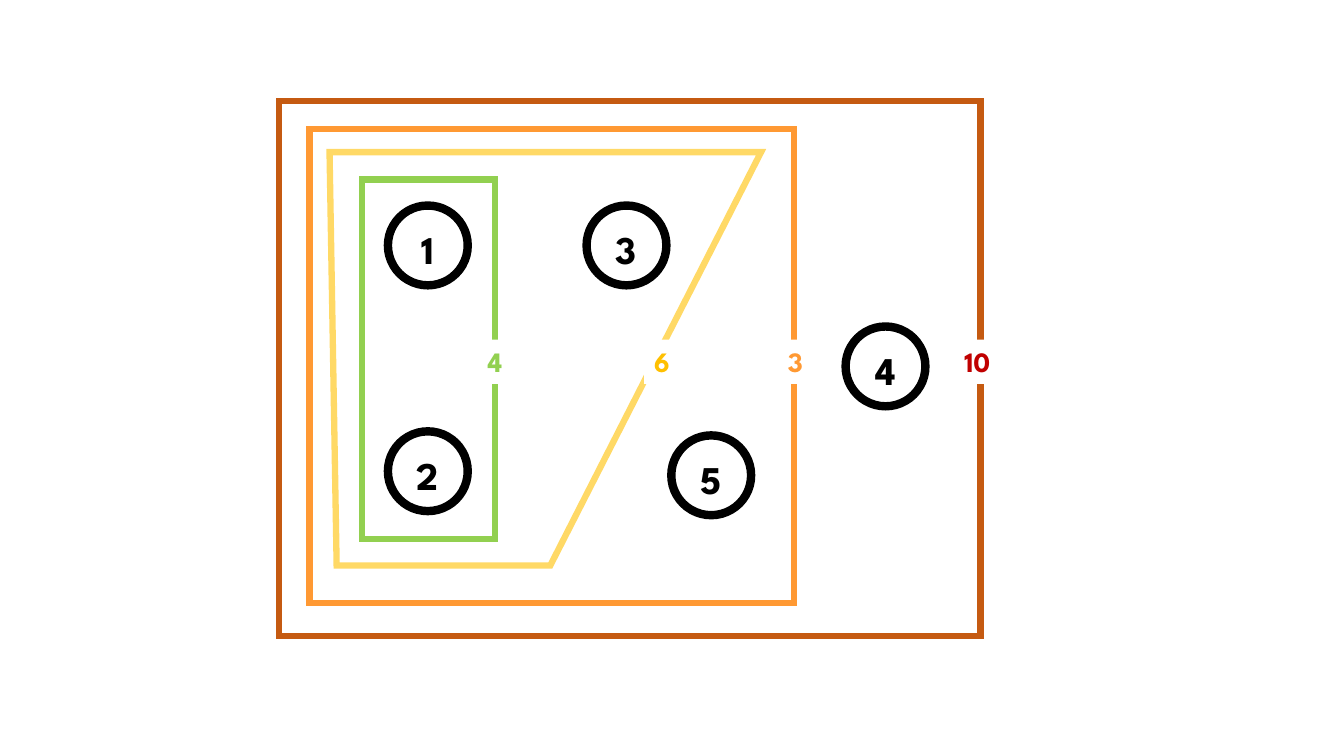
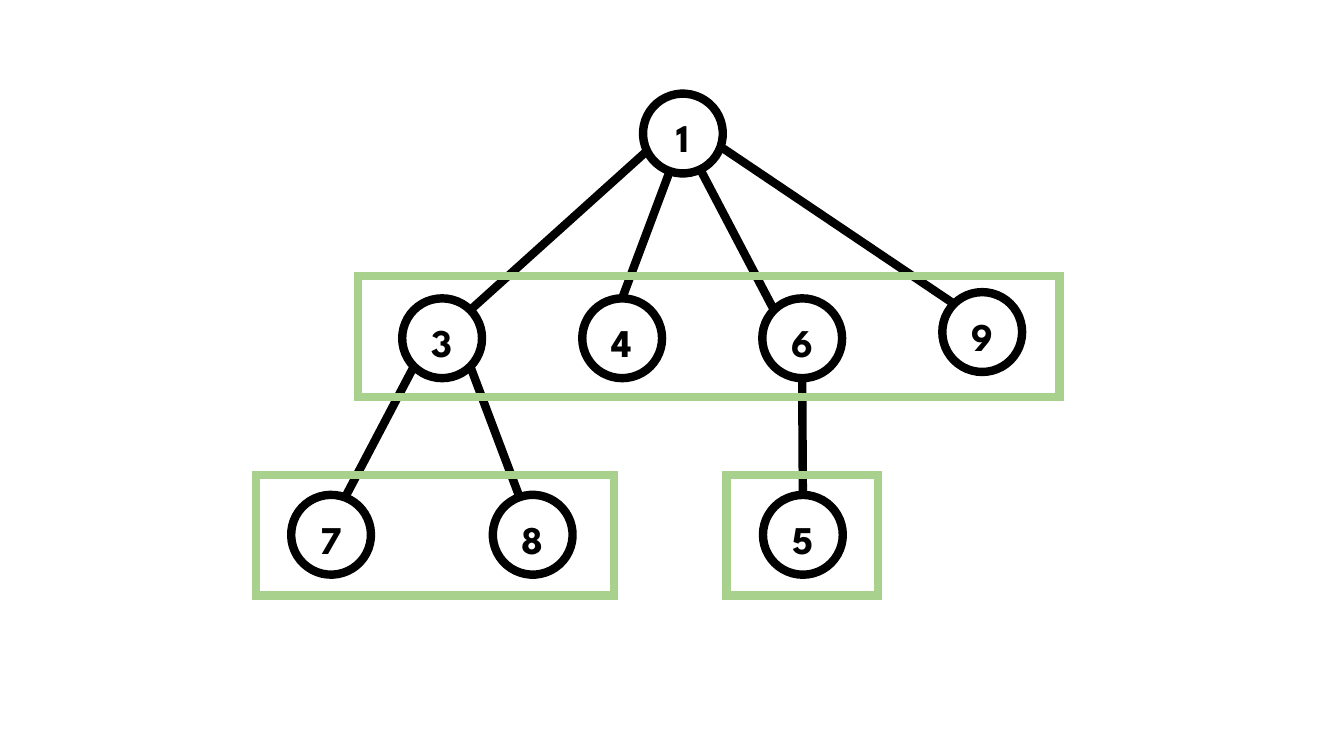
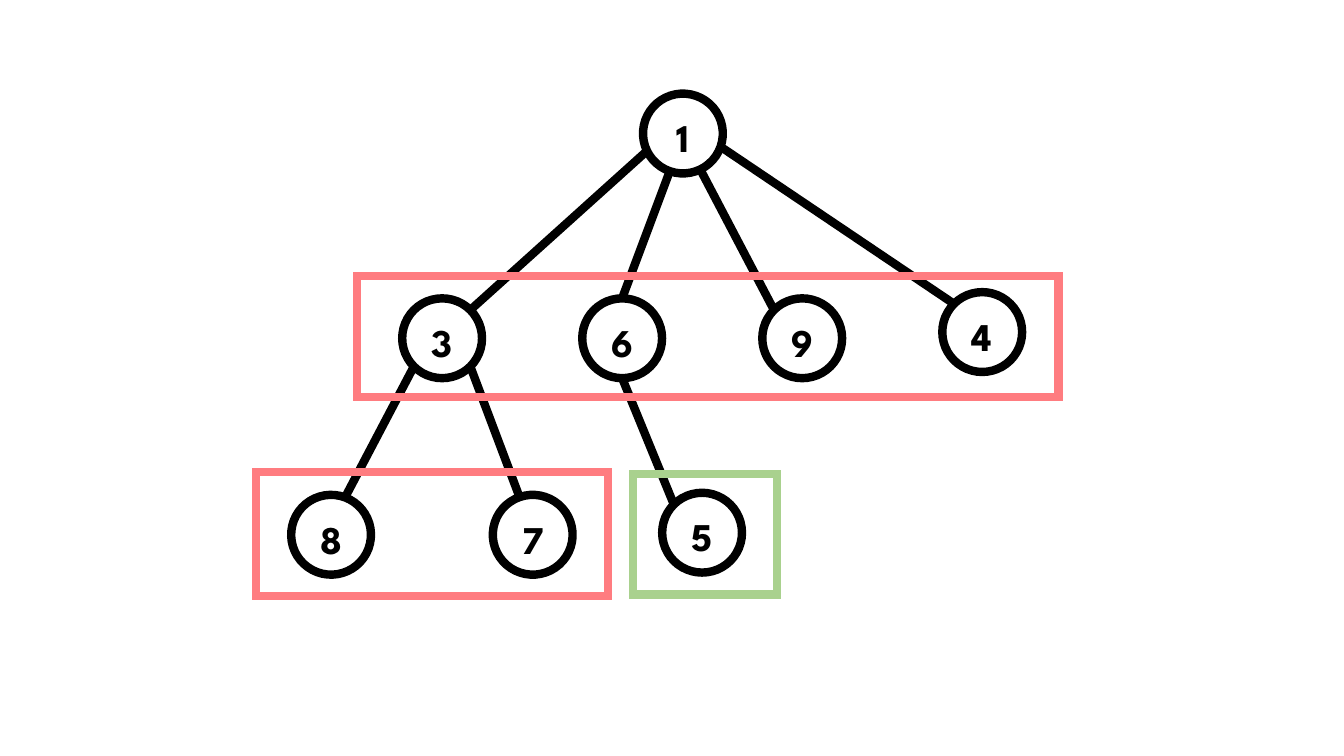
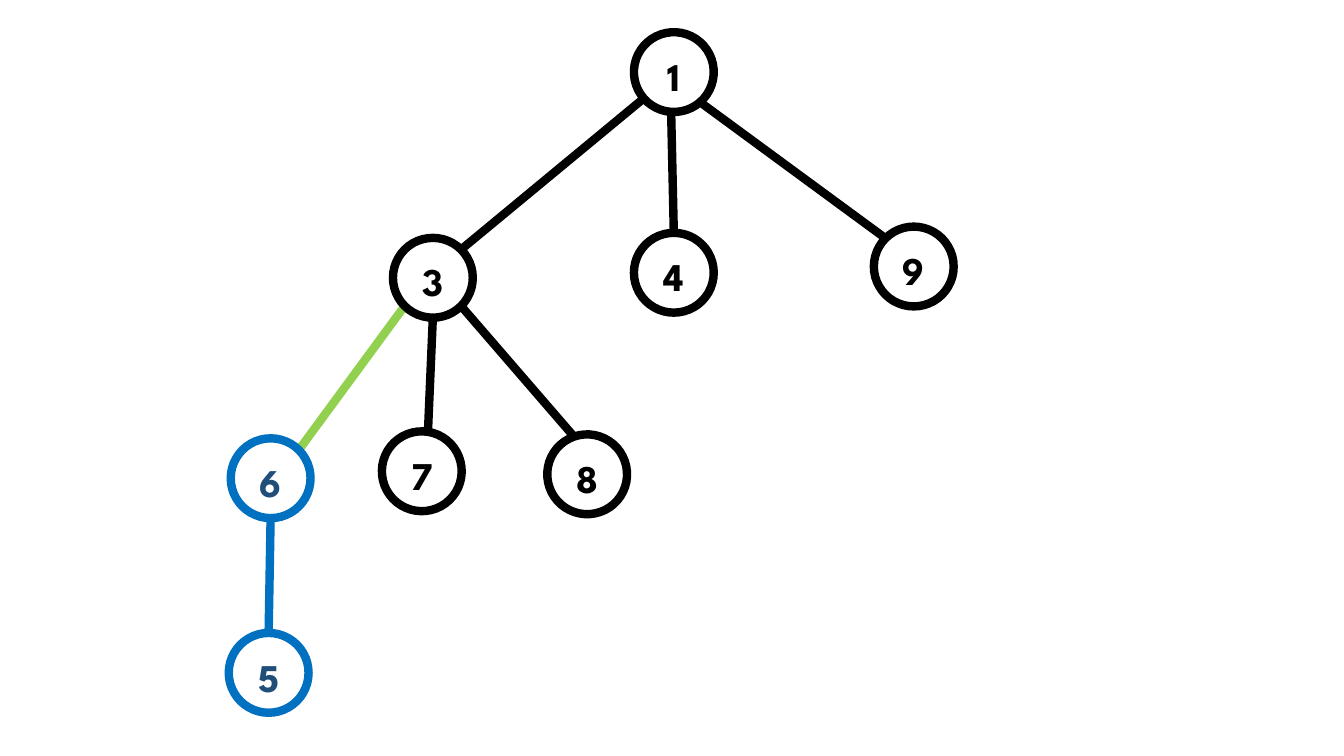
"""Build four slides of nested clusters and trees of numbered nodes."""
from math import cos, radians, sin

from lxml import etree
from pptx import Presentation
from pptx.dml.color import RGBColor
from pptx.enum import shapes, text
from pptx.oxml.ns import qn
from pptx.util import Pt

FONT = "League Spartan"
BLACK, WHITE, BLUE, NAVY = "000000", "FFFFFF", "0070C0", "1F4E79"
LIME, SAGE, ROSE = "92D050", "A9D18E", "FF7C80"
YELLOW, GOLD, ORANGE, BROWN, RED = "FFD966", "FFC000", "FF9933", "C55A11", "C00000"
SIZE, THICK, THIN = 57, 6, 4.5
LEFT, CENTER = text.PP_ALIGN.LEFT, text.PP_ALIGN.CENTER

# Node: centre x, centre y, turn. Edge: node, site, node, site, colour.
# Sites run anticlockwise from the top of the circle, 45 degrees apart.
ROOT = (487.8, 95.4, 19.2)
ROW = [(315.8 + 128.6 * i, y, 0) for i, y in enumerate((241.6, 241.6, 241.6, 237.2))]
LEAVES = [(236.5, 382, 335.5), (380.5, 382, 25.8)]
BRANCHES = [(0, 3, 1, 7), (0, 4, 2, 0), (0, 5, 3, 1), (0, 6, 4, 1),
            (1, 3, 5, 7), (1, 5, 6, 1)]


def tree(names, last, link, frames):
    """Describe a tree that shares its root, row and leaves."""
    spots = [ROOT, *ROW, *LEAVES, last]
    edges = [(names[a], i, names[b], j, BLACK) for a, i, b, j in BRANCHES + [link]]
    return {"nodes": dict(zip(names, spots)), "edges": edges, "frames": frames}


SLIDES = [
    {"nodes": {"1": (305.6, 175.3, 0), "3": (447.5, 175.3, 0), "2": (305.6, 336.6, 0),
               "5": (508, 339.5, 0), "4": (632.5, 261.7, 0)},
     "frames": [(258.5, 128.2, 95, 257, LIME, THIN),
                (221, 92.2, 346.3, 338.4, ORANGE, THIN),
                (199.4, 72, 501.1, 382.3, BROWN, THIN)],
     "outline": [(235.4, 108.7), (543.6, 108.7), (393.1, 403.9), (240.5, 403.9)],
     "tags": [("4", 334.8, 37.4, LIME, CENTER), ("6", 460.1, 23.8, GOLD, LEFT),
              ("3", 555.8, 23.8, ORANGE, LEFT), ("10", 681.8, 56.9, RED, LEFT)]},
    tree("13469785", (573.5, 382, 0), (3, 4, 7, 0),
         [(255.6, 197.3, 501.1, 86.4, SAGE, THICK),
          (182.9, 339.1, 255.6, 86.4, SAGE, THICK),
          (519.1, 339.1, 108, 86.4, SAGE, THICK)]),
    tree("13694875", (501.5, 380.5, 0), (2, 4, 7, 1),
         [(254.9, 197.3, 501.1, 86.4, ROSE, THICK),
          (182.9, 337, 251.3, 88.6, ROSE, THICK),
          (452.2, 338.4, 103, 86.4, SAGE, THICK)]),
    {"nodes": {"3": (309.2, 198.4, 0), "1": (481.3, 51.5, 3.8),
               "7": (301.3, 336.6, 323.9), "6": (193.3, 341.6, 0),
               "4": (481.3, 194.8, 0), "8": (419.4, 338.8, 25.8),
               "5": (191.9, 480.6, 0), "9": (652.7, 190.4, 0)},
     "edges": [("6", 7, "3", 3, LIME), ("3", 7, "1", 3, BLACK), ("4", 0, "1", 4, BLACK),
               ("8", 1, "3", 5, BLACK), ("7", 7, "3", 4, BLACK), ("5", 0, "6", 4, BLUE),
               ("9", 1, "1", 5, BLACK)],
     "blue": "65"},
]


def rgb(code):
    """Turn a hex string into a colour."""
    return RGBColor.from_string(code)


def trace(shape, color, width):
    """Give a shape a plain mitred outline and no fill."""
    shape.shadow.inherit = False
    shape.fill.background()
    shape.line.color.rgb = rgb(color)
    shape.line.width = Pt(width)
    line = shape.element.spPr.find(qn("a:ln"))
    etree.SubElement(line, qn("a:miter")).set("lim", "800000")


def label(home, words, box, size, color, align):
    """Add a bold text box and return it."""
    shape = home.add_textbox(*map(Pt, box))
    frame = shape.text_frame
    frame.word_wrap = True
    frame.auto_size = text.MSO_AUTO_SIZE.SHAPE_TO_FIT_TEXT
    para = frame.paragraphs[0]
    para.alignment = align
    run = para.add_run()
    run.text = words
    font = run.font
    font.name, font.size, font.bold = FONT, Pt(size), True
    font.color.rgb = rgb(color)
    return shape


def node(home, name, spot, line, ink):
    """Add a numbered circle as one group."""
    x, y, turn = spot
    group = home.add_group_shape().shapes
    ring = group.add_shape(shapes.MSO_SHAPE.OVAL, Pt(x - SIZE / 2), Pt(y - SIZE / 2),
                           Pt(SIZE), Pt(SIZE))
    ring.rotation = turn
    trace(ring, line, THICK)
    label(group, name, (x - 18, y - 17.8, 36, 41), 28, ink, CENTER)


def site(spot, index):
    """Find a connection site on a turned circle."""
    x, y, turn = spot
    angle = radians(turn - 45 * index)
    return Pt(x + SIZE / 2 * sin(angle)), Pt(y - SIZE / 2 * cos(angle))


def edge(home, start, end, color):
    """Join two points with a thick line."""
    line = home.add_connector(shapes.MSO_CONNECTOR.STRAIGHT, *start, *end)
    line.line.color.rgb = rgb(color)
    line.line.width = Pt(THICK)
    etree.SubElement(line.element.spPr, qn("a:effectLst"))


def draw(home, data):
    """Draw the edges, nodes, frames and tags of one slide."""
    nodes = data["nodes"]
    for a, i, b, j, color in data.get("edges", []):
        edge(home, site(nodes[a], i), site(nodes[b], j), color)
    for name, spot in nodes.items():
        line, ink = (BLUE, NAVY) if name in data.get("blue", "") else (BLACK, BLACK)
        node(home, name, spot, line, ink)
    if "outline" in data:
        first, *rest = [(Pt(x), Pt(y)) for x, y in data["outline"]]
        path = home.build_freeform(*first)
        path.add_line_segments(rest, close=True)
        trace(path.convert_to_shape(), YELLOW, THIN)
    for *box, color, width in data.get("frames", []):
        trace(home.add_shape(shapes.MSO_SHAPE.RECTANGLE, *map(Pt, box)), color, width)
    for words, x, width, color, align in data.get("tags", []):
        tag = label(home, words, (x, 242.6, width, 31.7), 20, color, align)
        tag.fill.solid()
        tag.fill.fore_color.rgb = rgb(WHITE)


def main():
    """Build and save the deck."""
    deck = Presentation()
    deck.slide_width, deck.slide_height = Pt(960), Pt(540)
    for data in SLIDES:
        draw(deck.slides.add_slide(deck.slide_layouts[6]).shapes, data)
    deck.save("out.pptx")


if __name__ == "__main__":
    main()
